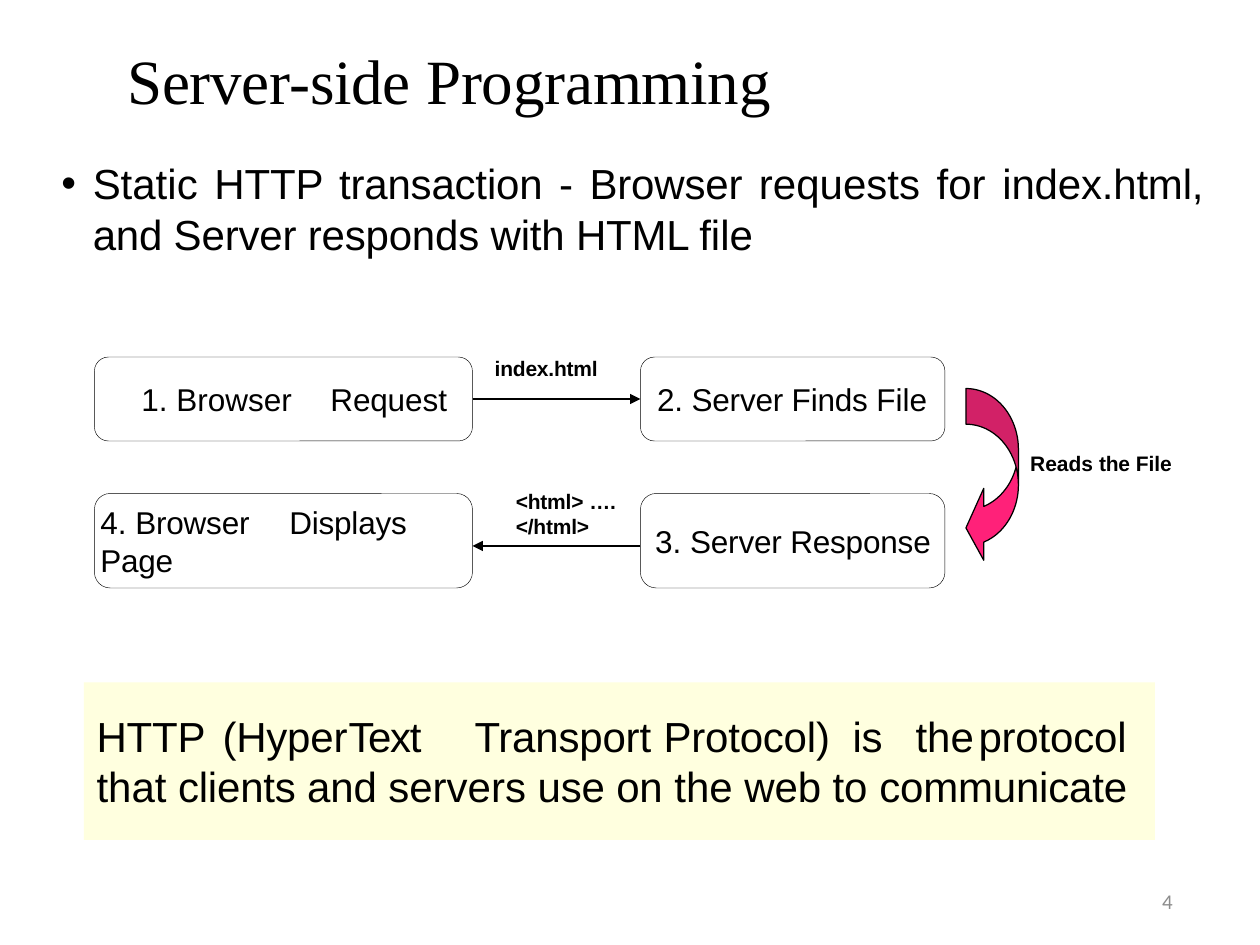
from pptx import Presentation, util as u
from pptx.dml.color import RGBColor
from pptx.enum import shapes, text
from pptx.oxml.ns import qn
from lxml import etree

BLACK = RGBColor(0x00, 0x00, 0x00)
GREY = RGBColor(0x8C, 0x8C, 0x8C)
PINK = RGBColor(0xFF, 0x00, 0x66)
CREAM = RGBColor(0xFF, 0xFF, 0xCC)

COLUMNS, ROWS = 120, 90
TIGHT = -10  # letter spacing in hundredths of a point


class Slide:
    """Holds the style and the current slide; lengths are grid columns and rows."""

    def __init__(self, deck):
        self.column = deck.slide_width / COLUMNS
        self.row = deck.slide_height / ROWS
        self.shapes = deck.slides.add_slide(deck.slide_layouts[6]).shapes

    def place(self, left, top, width, height):
        return [round(left * self.column), round(top * self.row),
                round(width * self.column), round(height * self.row)]

    def fill_text(self, shape, paragraphs, size, font="Arial", color=BLACK, bold=False,
                  align=text.PP_ALIGN.LEFT, anchor=text.MSO_ANCHOR.TOP,
                  inset=(0, 0.01), margin=0.01, hang=0, tabs=()):
        """Each paragraph is a list of runs: a string, or (string, letter spacing)."""
        frame = shape.text_frame
        frame.word_wrap = True
        frame.vertical_anchor = anchor
        frame.margin_left, frame.margin_top = map(u.Inches, inset)
        frame.margin_right = frame.margin_bottom = 0
        for number, runs in enumerate(paragraphs):
            paragraph = frame.add_paragraph() if number else frame.paragraphs[0]
            paragraph.alignment = align
            props = paragraph._p.get_or_add_pPr()
            props.set("marL", str(u.Inches(margin)))
            props.set("indent", str(u.Inches(-hang)))
            if hang:
                etree.SubElement(props, qn("a:buFont"), typeface="Arial")
                etree.SubElement(props, qn("a:buChar"), char="•")
            if tabs:
                stops = etree.SubElement(props, qn("a:tabLst"))
                for stop in tabs:
                    etree.SubElement(stops, qn("a:tab"), pos=str(u.Inches(stop)), algn="l")
            for piece in runs:
                words, spacing = (piece, TIGHT) if isinstance(piece, str) else piece
                run = paragraph.add_run()
                run.text = words
                run.font.size, run.font.name, run.font.bold = u.Pt(size), font, bold
                run.font.color.rgb = color
                run._r.get_or_add_rPr().set("spc", str(spacing))

    def label(self, area, paragraphs, size, **style):
        self.fill_text(self.shapes.add_textbox(*self.place(*area)), paragraphs, size, **style)

    def block(self, kind, area, fill=None, opacity=100, line=None):
        shape = self.shapes.add_shape(kind, *self.place(*area))
        shape.shadow.inherit = False
        if fill is None:
            shape.fill.background()
        else:
            shape.fill.solid()
            shape.fill.fore_color.rgb = fill
            color = shape._element.spPr.find(qn("a:solidFill"))[0]
            etree.SubElement(color, qn("a:alpha"), val=str(opacity * 1000))
        if line is None:
            shape.line.fill.background()
        else:
            shape.line.color.rgb = BLACK
            shape.line.width = u.Pt(line)
        return shape

    def step(self, area, runs, inset):
        box = self.block(shapes.MSO_SHAPE.ROUNDED_RECTANGLE, area, line=0.25)
        self.fill_text(box, [runs], 18, anchor=text.MSO_ANCHOR.MIDDLE,
                       inset=(inset, 0), tabs=(1.35,))

    def arrow(self, start, end, row):
        left, top, right, bottom = self.place(start, row, end, row)
        line = self.shapes.add_connector(shapes.MSO_CONNECTOR.STRAIGHT, left, top, right, bottom)
        line.line.color.rgb = BLACK
        line.line.width = u.Pt(1.5)
        props = line._element.spPr
        etree.SubElement(props.find(qn("a:ln")), qn("a:tailEnd"), type="triangle")
        etree.SubElement(props, qn("a:effectLst"))


def main():
    deck = Presentation()
    deck.slide_width, deck.slide_height = u.Inches(10), u.Inches(7.5)
    slide = Slide(deck)

    slide.label((12, 4, 70, 7), [["Server-side Programming"]], 36,
                font="Times New Roman", anchor=text.MSO_ANCHOR.MIDDLE)
    slide.label((5.6, 14.9, 109, 10),
                [[("Static ", 0), "HTTP transaction ", ("- ", 0), "Browser ",
                  ("requests for ", 0), "index.html, and Server responds with HTML ",
                  ("file", 0)]],
                24, align=text.PP_ALIGN.JUSTIFY, margin=0.27, hang=0.25, tabs=(0.27,))

    browser, browser_width = 9, 36
    server, server_width = 61, 29
    request_row, request_height = 34, 8
    response_row, response_height = 47, 9
    slide.step((browser, request_row, browser_width, request_height),
               ["1", (". Br", 0), "o", ("w", -50), ("s", 0), "e", ("r\tR", 0),
                "eque", ("st", 0)], 0.33)
    slide.step((server, request_row, server_width, request_height),
               ["2. Server Finds ", ("File", 0)], 0.09)
    slide.step((server, response_row, server_width, response_height),
               [("3. ", 0), "Server Response"], 0.07)
    slide.step((browser, response_row, browser_width, response_height),
               [("4. ", 0), "Browser\tDisplays Page"], 0)

    slide.arrow(browser + browser_width, server, 38)
    slide.arrow(server, browser + browser_width, 52)
    slide.label((47, 33.7, 11, 2.8), [["index.html"]], 12, bold=True)
    slide.label((49, 46.4, 10, 5.2), [["<html> ", ("….", 0)], ["</html>"]], 12, bold=True)

    reading = slide.block(shapes.MSO_SHAPE.CURVED_LEFT_ARROW, (92, 37, 5, 16.7),
                          fill=PINK, opacity=87, line=0.72)
    for index, share in enumerate((0.68, 1.37, 0.34)):
        reading.adjustments[index] = share
    slide.label((98, 42.8, 14.5, 2.8), [[("Reads ", 0), "the ", ("File", 0)]], 12, bold=True)

    definition = slide.block(shapes.MSO_SHAPE.RECTANGLE, (8, 65, 102, 15),
                             fill=CREAM, opacity=62)
    slide.fill_text(definition,
                    [["HTTP\t(Hyper\t", ("Text\t", -80), "Transport\tProtocol)\tis\t",
                      ("the\t", 0), "protocol"],
                     [("that", 0), " clients and ", ("servers ", 0), "use on", (" the ", 0),
                      "web ", ("to ", 0), "communicate"]],
                    24, inset=(0, 0.22), margin=0.1,
                    tabs=(1.13, 2.3, 3.08, 4.67, 6.17, 6.58, 7.21))

    slide.label((84.7, 83.4, 27, 4.8), [["4"]], 12, font="Calibri", color=GREY,
                align=text.PP_ALIGN.RIGHT, anchor=text.MSO_ANCHOR.MIDDLE, inset=(0, 0))

    deck.save("out.pptx")


if __name__ == "__main__":
    main()
